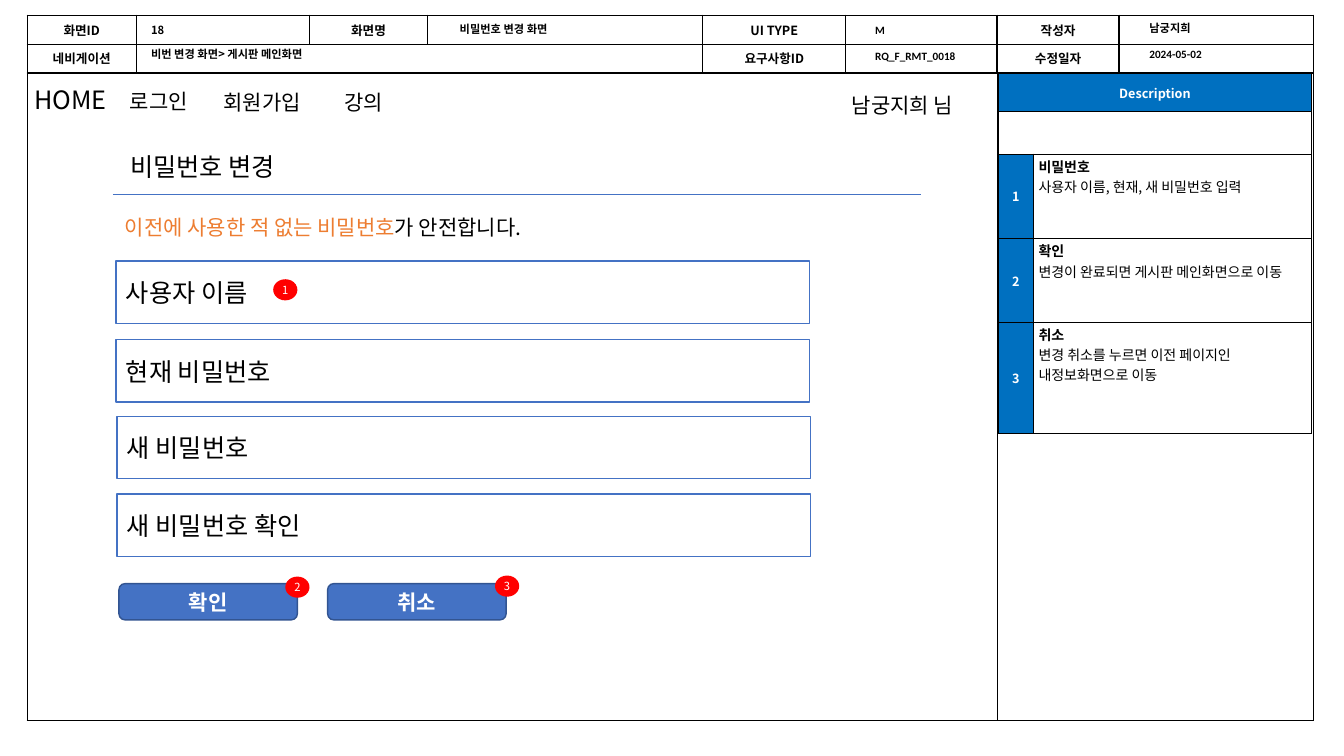
from lxml import etree
from pptx import Presentation
from pptx.dml.color import RGBColor
from pptx.enum import shapes, text
from pptx.oxml import ns
from pptx.util import Inches, Pt

KOREAN = "Noto Sans CJK KR"
BLACK = RGBColor(0x00, 0x00, 0x00)
WHITE = RGBColor(0xFF, 0xFF, 0xFF)
HEADER_BLUE = RGBColor(0x00, 0x70, 0xC0)
BLUE = RGBColor(0x44, 0x72, 0xC4)
DARK_BLUE = RGBColor(0x32, 0x54, 0x91)
ORANGE = RGBColor(0xED, 0x7D, 0x31)
RED = RGBColor(0xFF, 0x00, 0x00)
LEFT, CENTER = text.PP_ALIGN.LEFT, text.PP_ALIGN.CENTER
MIDDLE = text.MSO_ANCHOR.MIDDLE


def write(paragraph, words, size, color=BLACK, bold=False, align=LEFT, latin=KOREAN):
    """Add one run, with the Korean font for its East Asian letters."""
    paragraph.alignment = align
    run = paragraph.add_run()
    run.text = words
    font = run.font
    font.size, font.bold, font.name = Pt(size), bold, latin
    font.color.rgb = color
    etree.SubElement(font._element, ns.qn("a:ea"), typeface=KOREAN)


def add_grid(left, top, widths, heights):
    """Add a white table with thin black borders and small empty lines."""
    grid = slide.shapes.add_table(
        len(heights), len(widths), Inches(left), Inches(top),
        Inches(sum(widths)), Inches(sum(heights))).table
    grid.first_row = grid.horz_banding = False
    for column, width in zip(grid.columns, widths):
        column.width = Inches(width)
    for row, height in zip(grid.rows, heights):
        row.height = Inches(height)
        for cell in row.cells:
            properties = cell._tc.get_or_add_tcPr()
            for side in ("a:lnL", "a:lnR", "a:lnT", "a:lnB"):
                border = etree.SubElement(properties, ns.qn(side), w=str(Pt(1)))
                ink = etree.SubElement(border, ns.qn("a:solidFill"))
                etree.SubElement(ink, ns.qn("a:srgbClr"), val=str(BLACK))
            cell.fill.solid()
            cell.fill.fore_color.rgb = WHITE
            line_end = etree.SubElement(cell.text_frame.paragraphs[0]._p, ns.qn("a:endParaRPr"))
            line_end.set("sz", "900")
    return grid


presentation = Presentation()
presentation.slide_width, presentation.slide_height = Inches(13.33), Inches(7.5)
slide = presentation.slides.add_slide(presentation.slide_layouts[5])

# Screen information and page frame
info = add_grid(0.27, 0.15, [1.08, 1.72, 1.17, 2.73, 1.42, 1.5, 1.21, 1.93], [0.29, 0.28])
info.cell(1, 1).merge(info.cell(1, 3))
info_labels = [
    (0, 0, "화면ID"), (0, 2, "화면명"), (0, 4, "UI TYPE"), (0, 6, "작성자"),
    (1, 0, "네비게이션"), (1, 4, "요구사항ID"), (1, 6, "수정일자"),
]
for row, column, label in info_labels:
    cell = info.cell(row, column)
    cell.vertical_anchor = MIDDLE
    cell.margin_top = cell.margin_bottom = Inches(0.02)
    write(cell.text_frame.paragraphs[0], label, 9, bold=True, align=CENTER)

add_grid(0.27, 0.73, [9.62, 3.14], [6.42])

info_values = [
    (4.56, 0.19, "비밀번호 변경 화면"), (8.68, 0.2, "M"), (8.68, 0.45, "RQ_F_RMT_0018"),
    (11.4, 0.18, "남궁지희"), (11.4, 0.43, "2024-05-02"),
]
for left, top, value in info_values:
    frame = slide.shapes.add_textbox(Inches(left), Inches(top), Inches(1.2), Inches(0.17)).text_frame
    frame.word_wrap = True
    frame.margin_left = frame.margin_right = frame.margin_top = frame.margin_bottom = 0
    frame.vertical_anchor = text.MSO_ANCHOR.BOTTOM
    frame.paragraphs[0].line_spacing = 0.9
    write(frame.paragraphs[0], value, 8, bold=True, latin="Calibri")

# Description panel
notes = [
    ("비밀번호", "사용자 이름, 현재, 새 비밀번호 입력"),
    ("확인", "변경이 완료되면 게시판 메인화면으로 이동"),
    ("취소", "변경 취소를 누르면 이전 페이지인 내정보화면으로 이동"),
]
description = add_grid(9.9, 0.73, [0.35, 2.76], [0.38, 0.42, 0.84, 0.83, 1.1])
for row in (0, 1):
    description.cell(row, 0).merge(description.cell(row, 1))
for row, label in [(0, "Description"), (2, "1"), (3, "2"), (4, "3")]:
    cell = description.cell(row, 0)
    cell.fill.fore_color.rgb = HEADER_BLUE
    cell.vertical_anchor = MIDDLE
    write(cell.text_frame.paragraphs[0], label, 9, WHITE, True, CENTER)
for row, (heading, detail) in enumerate(notes, 2):
    cell = description.cell(row, 1)
    cell.margin_left = cell.margin_right = Inches(0.05)
    cell.margin_top = cell.margin_bottom = Inches(0.02)
    write(cell.text_frame.paragraphs[0], heading, 10, bold=True)
    write(cell.text_frame.add_paragraph(), detail, 10)

# Page title, brought in front of the page frame, and its rule
title = slide.shapes.title
title._element.getparent().append(title._element)
title.left, title.top, title.width, title.height = map(Inches, (1.19, 1.45, 2.01, 0.42))
title.text_frame.auto_size = text.MSO_AUTO_SIZE.NONE
title.text_frame.vertical_anchor = text.MSO_ANCHOR.TOP
title.text_frame.margin_bottom = 0
write(title.text_frame.paragraphs[0], "비밀번호 변경", 18)

rule = slide.shapes.add_connector(
    shapes.MSO_CONNECTOR.STRAIGHT, Inches(1.12), Inches(1.93), Inches(9.13), Inches(1.93))
rule.line.color.rgb = BLUE
rule.line.width = Pt(0.5)
etree.SubElement(rule._element.spPr, ns.qn("a:effectLst"))

# Menu, hint and header values
captions = [
    (0.24, 0.79, 0.94, 18, False, [("HOME", BLACK)]),
    (1.19, 0.83, 0.92, 15, False, [("로그인", BLACK)]),
    (2.12, 0.84, 1.18, 15, False, [("회원가입", BLACK)]),
    (3.32, 0.84, 1.42, 15, False, [("강의", BLACK)]),
    (8.35, 0.87, 1.32, 15, False, [("남궁지희 님", BLACK)]),
    (1.14, 2.08, 6.88, 15, False,
     [("이전에 사용한 적 없는 비밀번호", ORANGE), ("가 안전합니다.", BLACK)]),
    (1.4, 0.18, 1.65, 8, True, [("18", BLACK)]),
    (1.4, 0.42, 2.33, 8, True, [("비번 변경 화면> 게시판 메인화면", BLACK)]),
]
for left, top, width, size, bold, parts in captions:
    frame = slide.shapes.add_textbox(
        Inches(left), Inches(top), Inches(width), Inches(size * 0.02 + 0.06)).text_frame
    frame.word_wrap = True
    frame.margin_bottom = 0
    for words, color in parts:
        write(frame.paragraphs[0], words, size, color, bold)

# Input fields, buttons and numbered markers: look = outline, size, fill, line, text
FIELD = (shapes.MSO_SHAPE.RECTANGLE, 6.88, 0.62, WHITE, BLUE, 18, BLACK, False, LEFT)
BUTTON = (shapes.MSO_SHAPE.ROUNDED_RECTANGLE, 1.77, 0.36, BLUE, DARK_BLUE, 15, WHITE, True, CENTER)
MARKER = (shapes.MSO_SHAPE.OVAL, 0.24, 0.21, RED, None, 8, WHITE, False, CENTER)
form = [
    (FIELD, 1.15, 2.59, "사용자 이름"), (FIELD, 1.15, 3.37, "현재 비밀번호"),
    (FIELD, 1.16, 4.13, "새 비밀번호"), (FIELD, 1.16, 4.9, "새 비밀번호 확인"),
    (BUTTON, 1.18, 5.79, "확인"), (BUTTON, 3.25, 5.79, "취소"),
    (MARKER, 2.71, 2.77, "1"), (MARKER, 2.83, 5.72, "2"), (MARKER, 4.91, 5.71, "3"),
]
for look, left, top, label in form:
    outline, width, height, fill, line, size, color, bold, align = look
    part = slide.shapes.add_shape(outline, Inches(left), Inches(top), Inches(width), Inches(height))
    part.shadow.inherit = False
    part.fill.solid()
    part.fill.fore_color.rgb = fill
    frame = part.text_frame
    frame.word_wrap = True
    frame.vertical_anchor = MIDDLE
    frame.margin_top = frame.margin_bottom = 0
    if line is None:
        part.line.fill.background()
        frame.margin_left = frame.margin_right = 0
    else:
        part.line.color.rgb = line
        part.line.width = Pt(1)
    write(frame.paragraphs[0], label, size, color, bold, align)

presentation.save("out.pptx")
